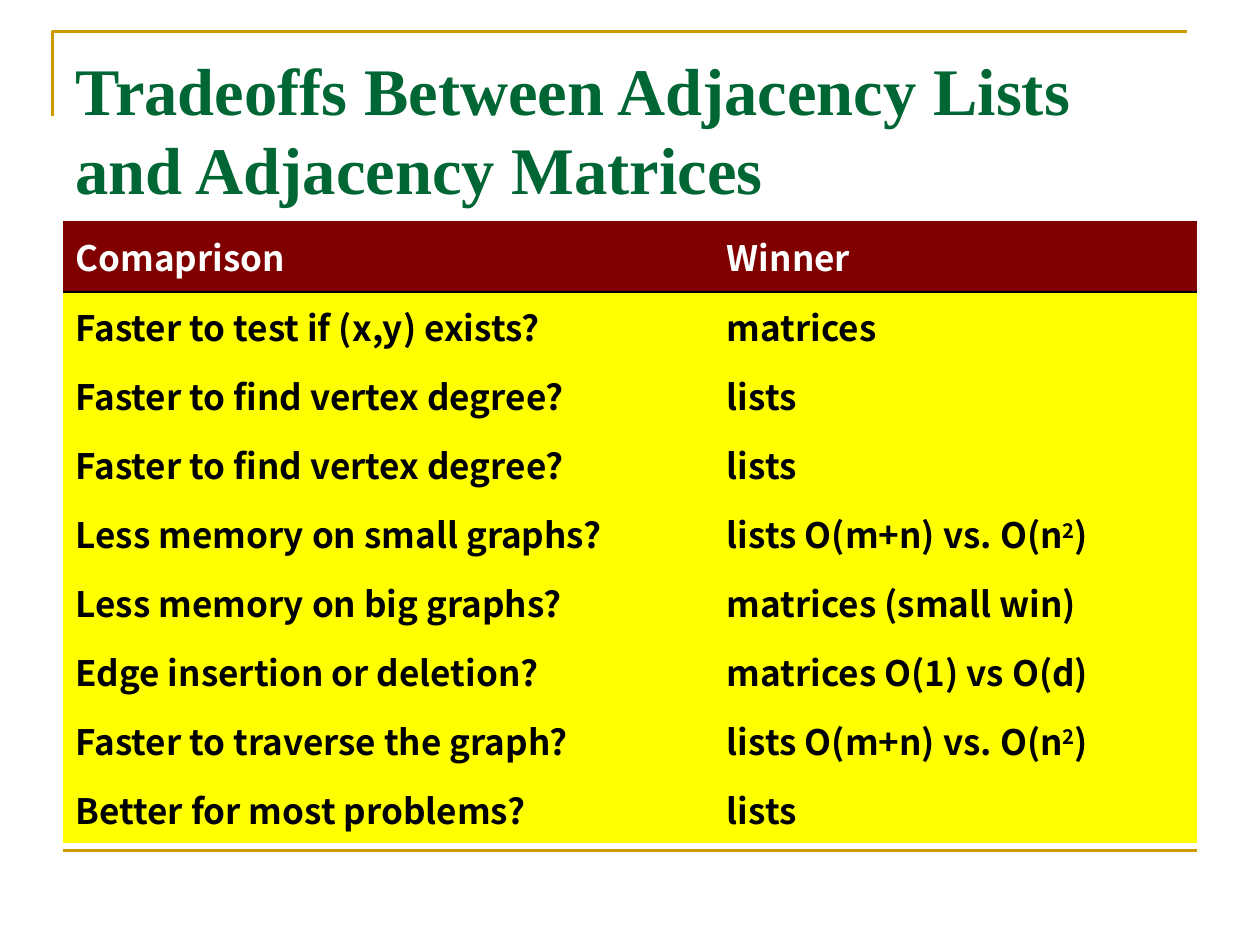
from dataclasses import dataclass

from lxml.etree import SubElement
from pptx import Presentation
from pptx.dml.color import RGBColor as RGB
from pptx.enum.shapes import MSO_CONNECTOR as CONN
from pptx.enum.text import MSO_ANCHOR as ANCHOR, MSO_AUTO_SIZE as AUTO, PP_ALIGN as ALIGN
from pptx.oxml import parse_xml
from pptx.oxml.ns import nsdecls, qn
from pptx.util import Cm, Pt


@dataclass(frozen=True)
class Theme:
    title_font: str = "Times New Roman"
    body_font: str = "Noto Sans CJK SC"
    title_size: int = 38
    title_spacing: int = 45
    body_size: int = 20
    title: str = "006633"
    rule: str = "CC9900"
    header_fill: str = "800000"
    header_text: str = "FFFFFF"
    body_fill: str = "FFFF00"
    body_text: str = "000000"
    border: str = "000000"


THEME = Theme()
NO_STYLE = "{2D5ABB26-0587-4C30-8999-92F81FD0307C}"
COLUMNS = (13.13, 5.99, 2.06, 1.68)
HEADER_HEIGHT, ROW_HEIGHT = 1.44, 1.39
HANGING = Cm(0.95)

# A caret raises the character after it.
ROWS = (
    ("Comaprison", "Winner"),
    ("Faster to test if (x,y) exists?", "matrices"),
    ("Faster to find vertex degree?", "lists"),
    ("Faster to find vertex degree?", "lists"),
    ("Less memory on small graphs?", "lists O(m+n) vs. O(n^2)"),
    ("Less memory on big graphs?", "matrices (small win)"),
    ("Edge insertion or deletion?", "matrices O(1) vs O(d)"),
    ("Faster to traverse the graph?", "lists O(m+n) vs. O(n^2)"),
    ("Better for most problems?", "lists"),
)
SPANNING_ROWS = range(4, 8)


def set_font(font, name, size, color):
    font.name, font.size, font.bold = name, Pt(size), True
    font.color.rgb = RGB.from_string(color)


def add_frame(slide, left, top, width, height):
    """Draw the corner line that runs up the left side and along the top."""
    builder = slide.shapes.build_freeform(Cm(left), Cm(top + height))
    builder.add_line_segments(
        [(Cm(left), Cm(top)), (Cm(left + width), Cm(top))], close=False)
    sp = builder.convert_to_shape()
    sp.shadow.inherit = False
    sp.fill.background()
    sp.line.color.rgb = RGB.from_string(THEME.rule)
    sp.line.width = Pt(1.5)


def add_rule(slide, left, top, width):
    line = slide.shapes.add_connector(
        CONN.STRAIGHT, Cm(left), Cm(top), Cm(left + width), Cm(top))
    line.line.color.rgb = RGB.from_string(THEME.rule)
    line.line.width = Pt(1.5)
    SubElement(line._element.spPr, qn("a:effectLst"))


def fill_title(slide, text, left, top, width, height):
    sp = slide.shapes.title
    sp.left, sp.top, sp.width, sp.height = Cm(left), Cm(top), Cm(width), Cm(height)
    tf = sp.text_frame
    tf.text = text
    tf.word_wrap, tf.auto_size = True, AUTO.NONE
    tf.vertical_anchor = ANCHOR.TOP
    tf.margin_top = Cm(0.25)
    p = tf.paragraphs[0]
    p.alignment = ALIGN.LEFT
    p.line_spacing = Pt(THEME.title_spacing)
    set_font(p.font, THEME.title_font, THEME.title_size, THEME.title)


def write_cell(cell, text, color):
    cell.vertical_anchor = ANCHOR.MIDDLE
    p = cell.text_frame.paragraphs[0]
    pPr = p._p.get_or_add_pPr()
    pPr.set("marL", str(HANGING))
    pPr.set("indent", str(-HANGING))
    set_font(p.font, THEME.body_font, THEME.body_size, color)
    base, _, raised = text.partition("^")
    p.add_run().text = base
    if raised:
        r = p.add_run()
        r.text = raised[0]
        r._r.get_or_add_rPr().set("baseline", "30000")
        p.add_run().text = raised[1:]


def add_bottom_border(cell):
    cell._tc.get_or_add_tcPr().insert(0, parse_xml(
        f'<a:lnB {nsdecls("a")} w="{Pt(1)}"><a:solidFill>'
        f'<a:srgbClr val="{THEME.border}"/></a:solidFill></a:lnB>'))


def add_comparison(slide, left, top):
    height = HEADER_HEIGHT + ROW_HEIGHT * (len(ROWS) - 1)
    frame = slide.shapes.add_table(
        len(ROWS), len(COLUMNS), Cm(left), Cm(top), Cm(sum(COLUMNS)), Cm(height))
    table = frame.table
    table.horz_banding = False
    table._tbl.tblPr.find(qn("a:tableStyleId")).text = NO_STYLE
    for column, width in zip(table.columns, COLUMNS):
        column.width = Cm(width)
    for i, texts in enumerate(ROWS):
        header = i == 0
        table.rows[i].height = Cm(HEADER_HEIGHT if header else ROW_HEIGHT)
        fill = THEME.header_fill if header else THEME.body_fill
        for cell in table.rows[i].cells:
            cell.fill.solid()
            cell.fill.fore_color.rgb = RGB.from_string(fill)
            if header:
                add_bottom_border(cell)
        for j, text in enumerate(texts):
            write_cell(table.cell(i, j), text,
                       THEME.header_text if header else THEME.body_text)
        if i in SPANNING_ROWS:
            table.cell(i, 1).merge(table.cell(i, len(COLUMNS) - 1))


def main():
    prs = Presentation()
    prs.slide_width, prs.slide_height = Cm(25.4), Cm(19.05)
    slide = prs.slides.add_slide(prs.slide_layouts[5])
    add_frame(slide, 1.06, 0.64, 22.86, 1.7)
    add_rule(slide, 1.27, 17.14, 22.86)
    fill_title(slide, "Tradeoffs Between Adjacency Lists and Adjacency Matrices",
               1.27, 0.76, 22.86, 3.18)
    add_comparison(slide, 1.27, 4.45)
    prs.save("out.pptx")


if __name__ == "__main__":
    main()
